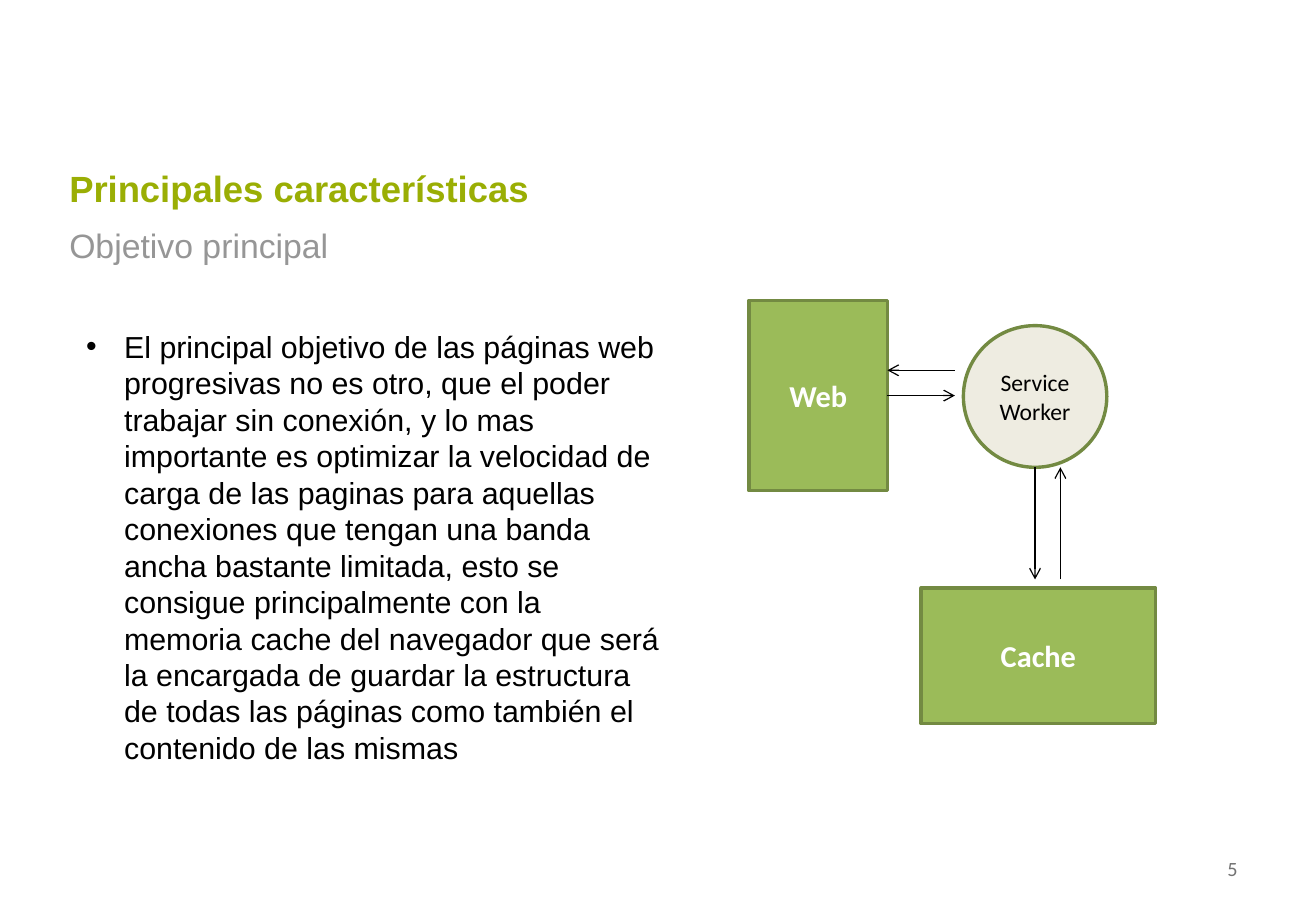
import pptx
import pptx.util
import pptx.dml.color
import pptx.enum.shapes
import pptx.enum.text
import pptx.oxml.ns
import lxml.etree

Pt = pptx.util.Pt
RGB = pptx.dml.color.RGBColor
SHAPE = pptx.enum.shapes.MSO_SHAPE
ALIGN = pptx.enum.text.PP_ALIGN
ANCHOR = pptx.enum.text.MSO_ANCHOR
qn = pptx.oxml.ns.qn

LIME = RGB(0x9A, 0xAE, 0x04)
GREY = RGB(0x96, 0x96, 0x96)
DARK_GREY = RGB(0x73, 0x73, 0x73)
BLACK = RGB(0, 0, 0)
WHITE = RGB(0xFF, 0xFF, 0xFF)
GREEN = RGB(0x9B, 0xBB, 0x59)
OLIVE = RGB(0x73, 0x8A, 0x42)
CREAM = RGB(0xEE, 0xEC, 0xE1)

BODY = (
    "El principal objetivo de las páginas web progresivas no es otro, que el poder "
    "trabajar sin conexión, y lo mas importante es optimizar la velocidad de carga "
    "de las paginas para aquellas conexiones que tengan una banda ancha bastante "
    "limitada, esto se consigue principalmente con la memoria cache del navegador "
    "que será la encargada de guardar la estructura de todas las páginas como "
    "también el contenido de las mismas"
)

TEXTS = [
    ("Principales características", (34, 94.3, 706, 34), ANCHOR.MIDDLE, ALIGN.LEFT,
     {"name": "Arial", "size": Pt(21.6), "bold": True}, LIME),
    ("Objetivo principal", (34, 128.3, 706, 34), ANCHOR.MIDDLE, ALIGN.LEFT,
     {"name": "Arial", "size": Pt(20)}, GREY),
    ("5", (684.7, 500.4, 56, 28.8), ANCHOR.MIDDLE, ALIGN.RIGHT,
     {"name": "Calibri", "size": Pt(12)}, DARK_GREY),
    (BODY, (44, 191, 357, 269), ANCHOR.TOP, ALIGN.LEFT,
     {"name": "Arial", "size": Pt(18)}, BLACK),
]

BOX_FONT = {"name": "Calibri", "size": Pt(18), "bold": True}
NODES = [
    ("Web", SHAPE.RECTANGLE, (444, 178, 82, 113), GREEN, BOX_FONT, WHITE),
    ("Service Worker", SHAPE.OVAL, (571, 193, 85, 84), CREAM,
     {"name": "Calibri", "size": Pt(14)}, BLACK),
    ("Cache", SHAPE.RECTANGLE, (546, 348.5, 139, 80.5), GREEN, BOX_FONT, WHITE),
]
GAP = 5
REPLY_SHIFT = 15
BULLET_INDENT = 22.5


def write(tf, text, anchor, align, font, color):
    tf.word_wrap = True
    tf.vertical_anchor = anchor
    p = tf.paragraphs[0]
    p.alignment = align
    r = p.add_run()
    r.text = text
    for key, value in font.items():
        setattr(r.font, key, value)
    r.font.color.rgb = color
    return p


def add_bullet(p):
    pPr = p._p.get_or_add_pPr()
    pPr.set("marL", str(Pt(BULLET_INDENT)))
    pPr.set("indent", str(-Pt(BULLET_INDENT)))
    lxml.etree.SubElement(pPr, qn("a:buFont")).set("typeface", "Arial")
    lxml.etree.SubElement(pPr, qn("a:buChar")).set("char", "•")


def add_arrow(s, x1, y1, x2, y2):
    straight = pptx.enum.shapes.MSO_CONNECTOR.STRAIGHT
    cx = s.shapes.add_connector(straight, Pt(x1), Pt(y1), Pt(x2), Pt(y2))
    cx.line.color.rgb = BLACK
    cx.line.width = Pt(0.75)
    lxml.etree.SubElement(cx.line._get_or_add_ln(), qn("a:tailEnd")).set("type", "arrow")
    lxml.etree.SubElement(cx._element.spPr, qn("a:effectLst"))
    return cx


def main():
    prs = pptx.Presentation()
    prs.slide_width, prs.slide_height = Pt(780), Pt(540)
    s = prs.slides.add_slide(prs.slide_layouts[6])

    for text, box, anchor, align, font, color in TEXTS:
        sp = s.shapes.add_textbox(*map(Pt, box))
        p = write(sp.text_frame, text, anchor, align, font, color)
        if text == BODY:
            add_bullet(p)

    nodes = {}
    for text, kind, box, fill, font, color in NODES:
        sp = s.shapes.add_shape(kind, *map(Pt, box))
        sp.shadow.inherit = False
        sp.fill.solid()
        sp.fill.fore_color.rgb = fill
        sp.line.color.rgb = OLIVE
        sp.line.width = Pt(2)
        write(sp.text_frame, text, ANCHOR.MIDDLE, ALIGN.CENTER, font, color)
        nodes[text] = sp, box

    web, (wx, wy, ww, wh) = nodes["Web"]
    ox, oy, ow, oh = nodes["Service Worker"][1]
    cache_top = nodes["Cache"][1][1]
    web_right, web_mid = wx + ww, wy + wh / 2
    worker_mid, worker_bottom = ox + ow / 2, oy + oh
    worker_near, cache_near = ox - GAP, cache_top - GAP
    reply_y, reply_x = web_mid - REPLY_SHIFT, worker_mid + REPLY_SHIFT

    request = add_arrow(s, web_right, web_mid, worker_near, web_mid)
    request.begin_connect(web, 3)
    add_arrow(s, worker_near, reply_y, web_right, reply_y)
    add_arrow(s, worker_mid, worker_bottom, worker_mid, cache_near)
    add_arrow(s, reply_x, cache_near, reply_x, worker_bottom)

    prs.save("out.pptx")


if __name__ == "__main__":
    main()
